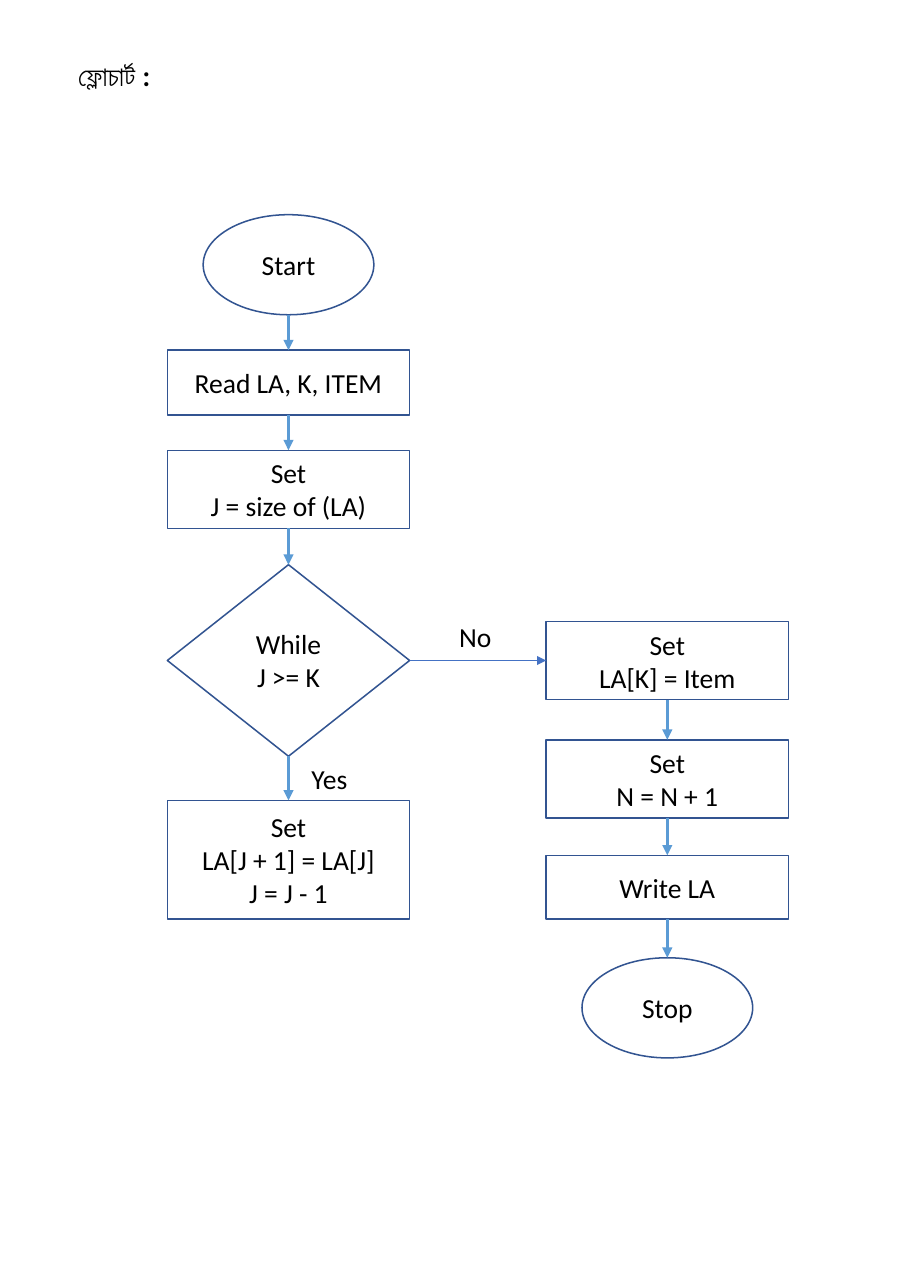
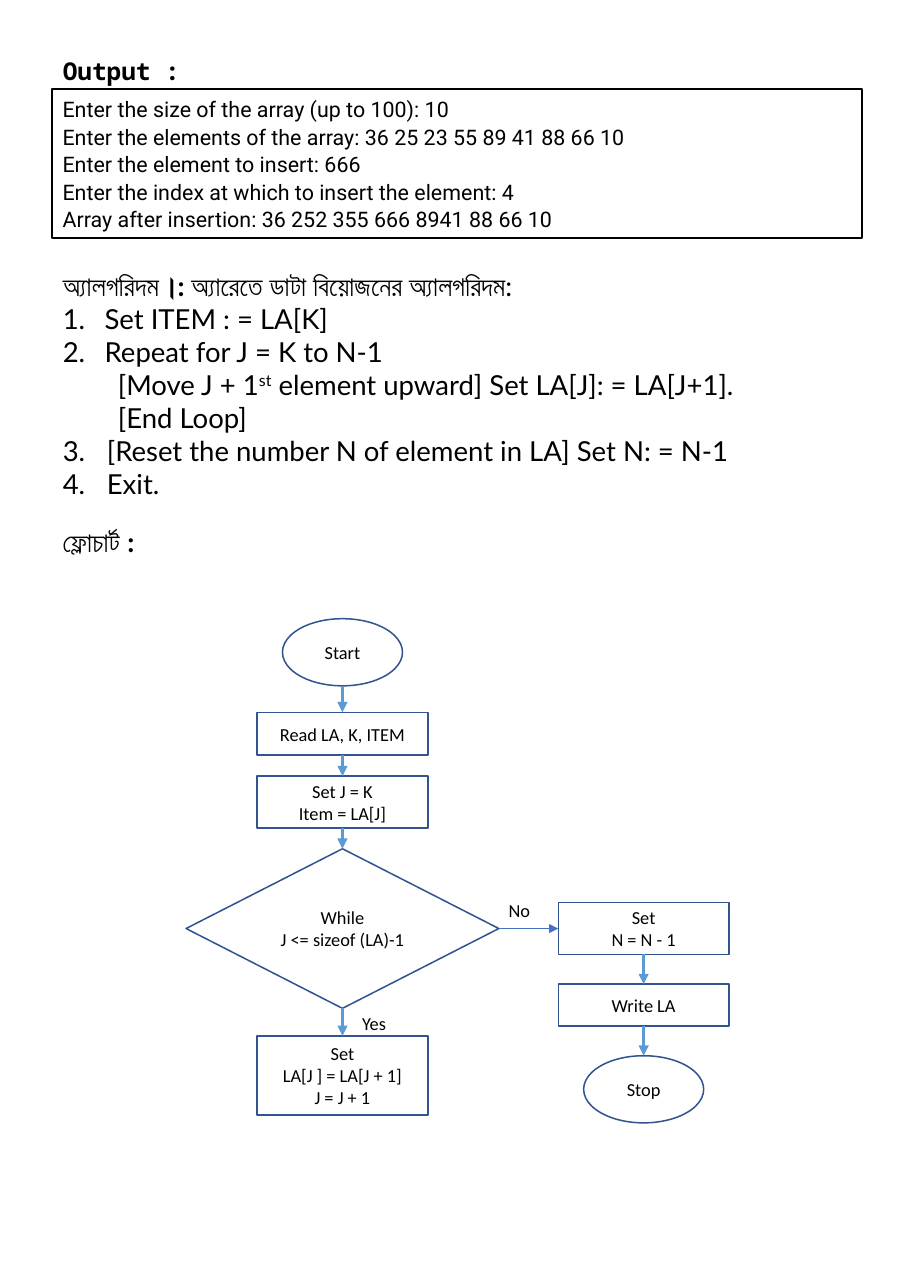
from lxml.etree import SubElement
from pptx import Presentation
from pptx.dml.color import RGBColor
from pptx.enum.shapes import MSO_CONNECTOR as Link, MSO_SHAPE as Preset
from pptx.enum.text import MSO_ANCHOR as Anchor, MSO_AUTO_SIZE as Fit, PP_ALIGN as Align
from pptx.oxml.ns import qn
from pptx.util import Inches, Pt

CELL = Inches(0.1)
COLUMNS, ROWS = 83, 117
COLORS = {"text": "000000", "outline": "325491", "flow": "5B9BD5", "branch": "4472C4"}
HEADING = {"name": "Lato", "size": Pt(18), "bold": True}
OUTPUT_HEADING = {"name": "Noto Sans Mono", "size": Pt(16), "bold": True}
CONSOLE = {"name": "Roboto", "size": Pt(14)}
LIST = {"name": "Lato", "size": Pt(18), "bold": False}
GROWING = {"word_wrap": True, "auto_size": Fit.SHAPE_TO_FIT_TEXT}
TOP, BOTTOM, LEFT, RIGHT = 0, 2, 1, 3
PRESETS = {"oval": Preset.OVAL, "box": Preset.RECTANGLE, "diamond": Preset.DIAMOND}

FLOWCHART_TITLE = "ফ্লোচার্ট :"
CONSOLE_LINES = [
    "Enter the size of the array (up to 100): 10",
    "Enter the elements of the array: 36 25 23 55 89 41 88 66 10",
    "Enter the element to insert: 666",
    "Enter the index at which to insert the element: 4",
    "Array after insertion: 36 252 355 666 8941 88 66 10",
]
ALGORITHM = [
    ([("অ্যালগরিদম।: ", "bold"), ("অ্যারেতে ডাটা বিয়োজনের অ্যালগরিদম:", "")], 0, None),
    ([("Set ITEM : = LA[K]", "")], 3.8, 1),
    ([("Repeat for J = K to N-1", "")], 3.8, 1),
    ([("[Move J + 1", ""), ("st", "raised"),
      (" element upward] Set LA[J]: = LA[J+1].", "")], 5, None),
    ([("[End Loop]", "")], 5, None),
    ([("[Reset the number N of element in LA] Set N: = N-1", "")], 4, 3),
    ([("Exit.", "")], 4, 3),
]
INSERTION = {
    "size": 18,
    "widths": {"oval": 15.5, "box": 22, "diamond": 22},
    "main": (26.2, [
        ("oval", 19.5, 9.1, ["Start"]),
        ("box", 31.8, 5.9, ["Read LA, K, ITEM"]),
        ("box", 40.9, 7.1, ["Set", "J = size of (LA)"]),
        ("diamond", 51.3, 17.4, ["While", "J >= K"]),
        ("box", 72.7, 10.8, ["Set", "LA[J + 1] = LA[J]", "J = J - 1"]),
    ]),
    "exit": (60.6, [
        ("box", 56.45, 7.1, ["Set", "LA[K] = Item"]),
        ("box", 67.2, 7.1, ["Set", "N = N + 1"]),
        ("box", 77.7, 5.8, ["Write LA"]),
        ("oval", 87, 9.1, ["Stop"]),
    ]),
    "labels": [("No", (40.7, 55.8, 12.2, 4)), ("Yes", (27.3, 68.7, 12.2, 4))],
}
DELETION = {
    "size": 12,
    "widths": {"oval": 10.9, "box": 15.5, "diamond": 28.4},
    "main": (31.1, [
        ("oval", 56.2, 6.1, ["Start"]),
        ("box", 64.7, 3.9, ["Read LA, K, ITEM"]),
        ("box", 70.5, 4.7, ["Set J = K", "Item = LA[J]"]),
        ("diamond", 77.1, 14.5, ["While", "J <= sizeof (LA)-1"]),
        ("box", 94.1, 7.2, ["Set", "LA[J ] = LA[J + 1]", "J = J + 1"]),
    ]),
    "exit": (58.45, [
        ("box", 82, 4.7, ["Set", "N = N - 1"]),
        ("box", 89.4, 3.8, ["Write LA"]),
        ("oval", 95.9, 6.1, ["Stop"]),
    ]),
    "labels": [("No", (45.2, 81.2, 8.6, 3)), ("Yes", (31.9, 91.5, 8.6, 3))],
}


def grid(*cells):
    return [round(cell * CELL) for cell in cells]


def color(name):
    return RGBColor.from_string(COLORS[name])


def apply(target, values):
    for name, value in values.items():
        setattr(target, name, value)


def add_span(para, text, style):
    span = para.add_run()
    span.text = text
    apply(span.font, style)
    span.font.color.rgb = color("text")
    return span


def write(shape, lines, style, frame, layout):
    apply(shape.text_frame, frame)
    for index, line in enumerate(lines):
        para = shape.text_frame.add_paragraph() if index else shape.text_frame.paragraphs[0]
        apply(para, layout)
        add_span(para, line, style)


def place(shape, area):
    apply(shape, dict(zip(("left", "top", "width", "height"), grid(*area))))


def set_title(page, text, area, style, frame, layout):
    place(page.shapes.title, area)
    write(page.shapes.title, [text], style, GROWING | frame, {"alignment": Align.LEFT} | layout)


def add_label(shapes, text, area, style, frame):
    write(shapes.add_textbox(*grid(*area)), [text], style, GROWING | frame, {})


def add_outlined(shapes, preset, area, line_color, width):
    shape = shapes.add_shape(preset, *grid(*area))
    shape.shadow.inherit = False
    shape.fill.background()
    shape.line.color.rgb = color(line_color)
    shape.line.width = Pt(width)
    return shape


def set_list(body, items):
    apply(body.text_frame, GROWING | {"vertical_anchor": Anchor.TOP})
    for index, (spans, indent, start) in enumerate(items):
        para = body.text_frame.add_paragraph() if index else body.text_frame.paragraphs[0]
        para.space_before = Pt(0)
        margin = round(indent * CELL)
        properties = para._p.get_or_add_pPr()
        properties.set("marL", str(margin))
        properties.set("indent", str(-margin if start else 0))
        if start:
            SubElement(properties, qn("a:buFont"), typeface=LIST["name"])
            SubElement(properties, qn("a:buAutoNum"), type="arabicPeriod", startAt=str(start))
        else:
            SubElement(properties, qn("a:buNone"))
        for text, accent in spans:
            span = add_span(para, text, LIST | {"bold": accent == "bold"})
            if accent == "raised":
                span._r.get_or_add_rPr().set("baseline", "30000")


def side(shape, site):
    middle, center = shape.left + shape.width // 2, shape.top + shape.height // 2
    return {
        TOP: (middle, shape.top),
        LEFT: (shape.left, center),
        BOTTOM: (middle, shape.top + shape.height),
        RIGHT: (shape.left + shape.width, center),
    }[site]


def add_arrow(shapes, source, source_site, target, target_site, line_color, width):
    arrow = shapes.add_connector(Link.STRAIGHT, *side(source, source_site), *side(target, target_site))
    if source.auto_shape_type != Preset.OVAL:
        arrow.begin_connect(source, source_site)
    arrow.end_connect(target, target_site)
    arrow.line.color.rgb = color(line_color)
    arrow.line.width = Pt(width)
    SubElement(arrow.line._get_or_add_ln(), qn("a:tailEnd"), type="triangle")
    SubElement(arrow._element.spPr, qn("a:effectLst"))


def add_column(shapes, center, nodes, widths, style):
    column = []
    for kind, top, height, lines in nodes:
        width = widths[kind]
        area = (center - width / 2, top, width, height)
        node = add_outlined(shapes, PRESETS[kind], area, "outline", 1)
        write(node, lines, style, {"vertical_anchor": Anchor.MIDDLE}, {"alignment": Align.CENTER})
        column.append(node)
    for source, target in zip(column, column[1:]):
        add_arrow(shapes, source, BOTTOM, target, TOP, "flow", 2.25)
    return column


def add_flowchart(shapes, chart):
    style = {"name": "Calibri", "size": Pt(chart["size"])}
    main_column, exit_column = [
        add_column(shapes, *chart[branch], chart["widths"], style) for branch in ("main", "exit")
    ]
    add_arrow(shapes, main_column[-2], RIGHT, exit_column[0], LEFT, "branch", 0.5)
    for text, area in chart["labels"]:
        add_label(shapes, text, area, style, {})


def add_insertion_page(deck):
    page = deck.slides.add_slide(deck.slide_layouts[5])
    set_title(page, FLOWCHART_TITLE, (6.1, 4.9, 14.2, 4), HEADING,
              {"vertical_anchor": Anchor.MIDDLE}, {})
    add_flowchart(page.shapes, INSERTION)


def add_deletion_page(deck):
    page = deck.slides.add_slide(deck.slide_layouts[1])
    left, width = 4.7, 73.6
    spacing = {"line_spacing": 1.07}
    top_anchor = {"vertical_anchor": Anchor.TOP}
    set_title(page, "Output :", (left, 4.4, width, 3.8), OUTPUT_HEADING, top_anchor, spacing)
    console = add_outlined(page.shapes, Preset.RECTANGLE, (left, 8.1, width, 13.5), "text", 1.5)
    write(console, CONSOLE_LINES, CONSOLE, GROWING | top_anchor, {"alignment": Align.LEFT} | spacing)
    body = page.placeholders[1]
    place(body, (left, 23.9, width, 22.2))
    set_list(body, ALGORITHM)
    add_label(page.shapes, FLOWCHART_TITLE, (left, 47.2, 14.2, 4), HEADING,
              {"vertical_anchor": Anchor.MIDDLE})
    add_flowchart(page.shapes.add_group_shape().shapes, DELETION)


def main():
    deck = Presentation()
    deck.slide_width, deck.slide_height = grid(COLUMNS, ROWS)
    add_insertion_page(deck)
    add_deletion_page(deck)
    deck.save("out.pptx")


if __name__ == "__main__":
    main()
